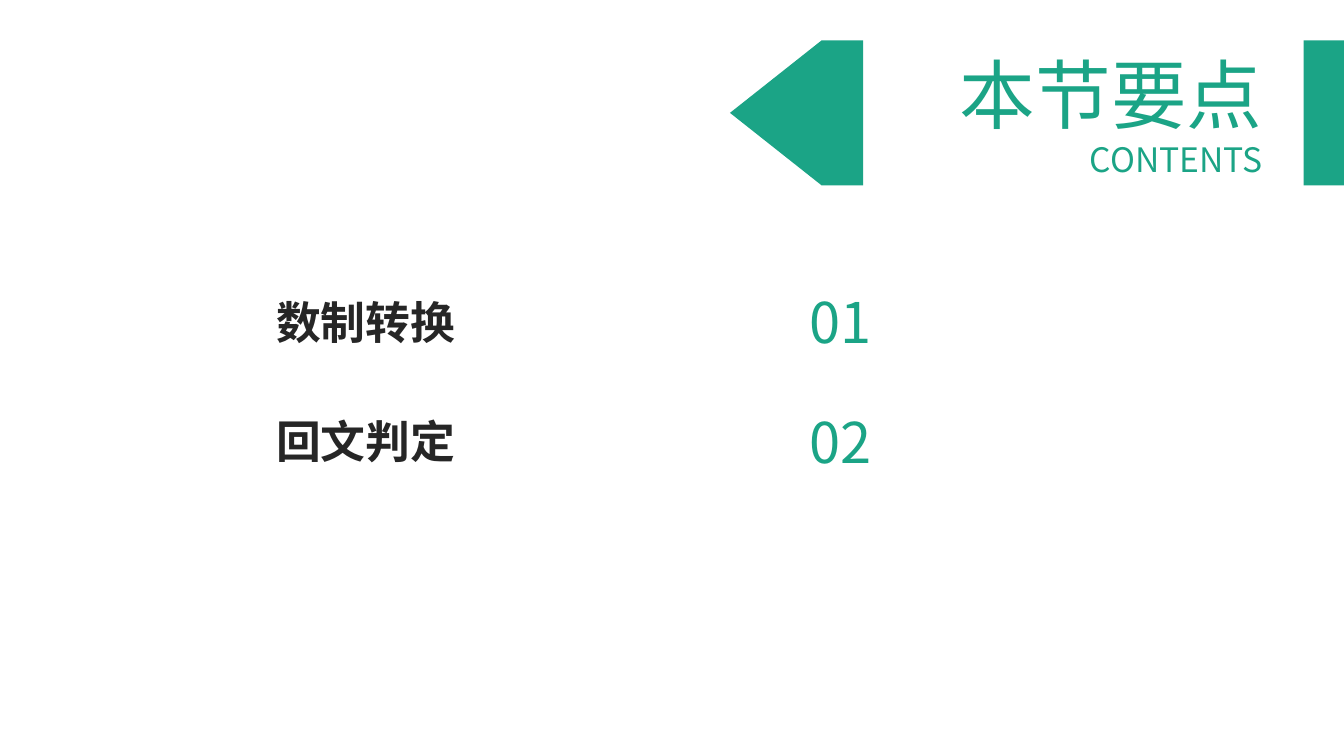
"""Build the section contents slide with a green arrow banner."""
import pptx
import pptx.util
import pptx.dml.color
import pptx.enum.shapes
import pptx.enum.text
import pptx.oxml.ns
from lxml import etree

Inches = pptx.util.Inches
ALIGN = pptx.enum.text.PP_ALIGN

HEADING = ("本节要点", "CONTENTS")
TOPICS = ["数制转换", "回文判定"]
COLORS = {"green": "1BA486", "ink": "262626"}
FONT = "Noto Sans CJK SC"
SLIDE_W, SLIDE_H = 13.33, 7.5
BANNER_TOP, BANNER_H = 0.4, 1.44
EDGE_W = 0.4
ARROW_TIP, ARROW_SHOULDER, ARROW_BACK = 7.24, 8.15, 8.56
FIRST_ROW_MIDDLE, ROW_STEP = 3.19, 1.19


def rgb(color):
    return pptx.dml.color.RGBColor.from_string(COLORS[color])


def paint(shape, color):
    shape.shadow.inherit = False
    shape.fill.solid()
    shape.fill.fore_color.rgb = rgb(color)
    shape.line.fill.background()


def write(paragraph, text, size, color="green", bold=False, align=ALIGN.LEFT):
    paragraph.alignment = align
    run = paragraph.add_run()
    run.text = text
    run.font.size = pptx.util.Pt(size)
    run.font.bold = bold
    run.font.color.rgb = rgb(color)
    run.font.name = FONT
    east_asian = etree.SubElement(run.font._element, pptx.oxml.ns.qn("a:ea"))
    east_asian.set("typeface", FONT)


def fit(frame):
    frame.word_wrap = False
    frame.auto_size = pptx.enum.text.MSO_AUTO_SIZE.NONE
    frame.vertical_anchor = pptx.enum.text.MSO_ANCHOR.TOP
    return frame


def add_label(slide, left, middle, width, height, text, **style):
    label = slide.shapes.add_textbox(
        Inches(left), Inches(middle - height / 2), Inches(width), Inches(height))
    write(fit(label.text_frame).paragraphs[0], text, **style)


def add_banner(slide):
    edge = slide.shapes.add_shape(
        pptx.enum.shapes.MSO_SHAPE.RECTANGLE, Inches(SLIDE_W - EDGE_W),
        Inches(BANNER_TOP), Inches(EDGE_W), Inches(BANNER_H))
    paint(edge, "green")

    bottom = BANNER_TOP + BANNER_H
    outline = [(ARROW_BACK, BANNER_TOP), (ARROW_BACK, bottom),
               (ARROW_SHOULDER, bottom), (ARROW_TIP, BANNER_TOP + BANNER_H / 2)]
    builder = slide.shapes.build_freeform(
        Inches(ARROW_SHOULDER), Inches(BANNER_TOP))
    builder.add_line_segments([(Inches(x), Inches(y)) for x, y in outline])
    paint(builder.convert_to_shape(), "green")


def add_heading(slide):
    title = slide.shapes.title
    title.left, title.top = Inches(9.39), Inches(0.43)
    title.width, title.height = Inches(3.23), Inches(1.41)
    frame = fit(title.text_frame)
    name, subtitle = HEADING
    write(frame.paragraphs[0], name, size=54, align=ALIGN.RIGHT)
    write(frame.add_paragraph(), subtitle, size=24, align=ALIGN.RIGHT)


def main():
    deck = pptx.Presentation()
    deck.slide_width, deck.slide_height = Inches(SLIDE_W), Inches(SLIDE_H)
    slide = deck.slides.add_slide(deck.slide_layouts[5])
    add_banner(slide)
    add_heading(slide)
    for index, topic in enumerate(TOPICS):
        middle = FIRST_ROW_MIDDLE + index * ROW_STEP
        add_label(slide, 2.64, middle, 2, 0.64, topic,
                  size=32, color="ink", bold=True)
        add_label(slide, 7.63, middle, 1.11, 0.77, f"{index + 1:02}",
                  size=40, align=ALIGN.RIGHT)
    deck.save("out.pptx")


if __name__ == "__main__":
    main()
